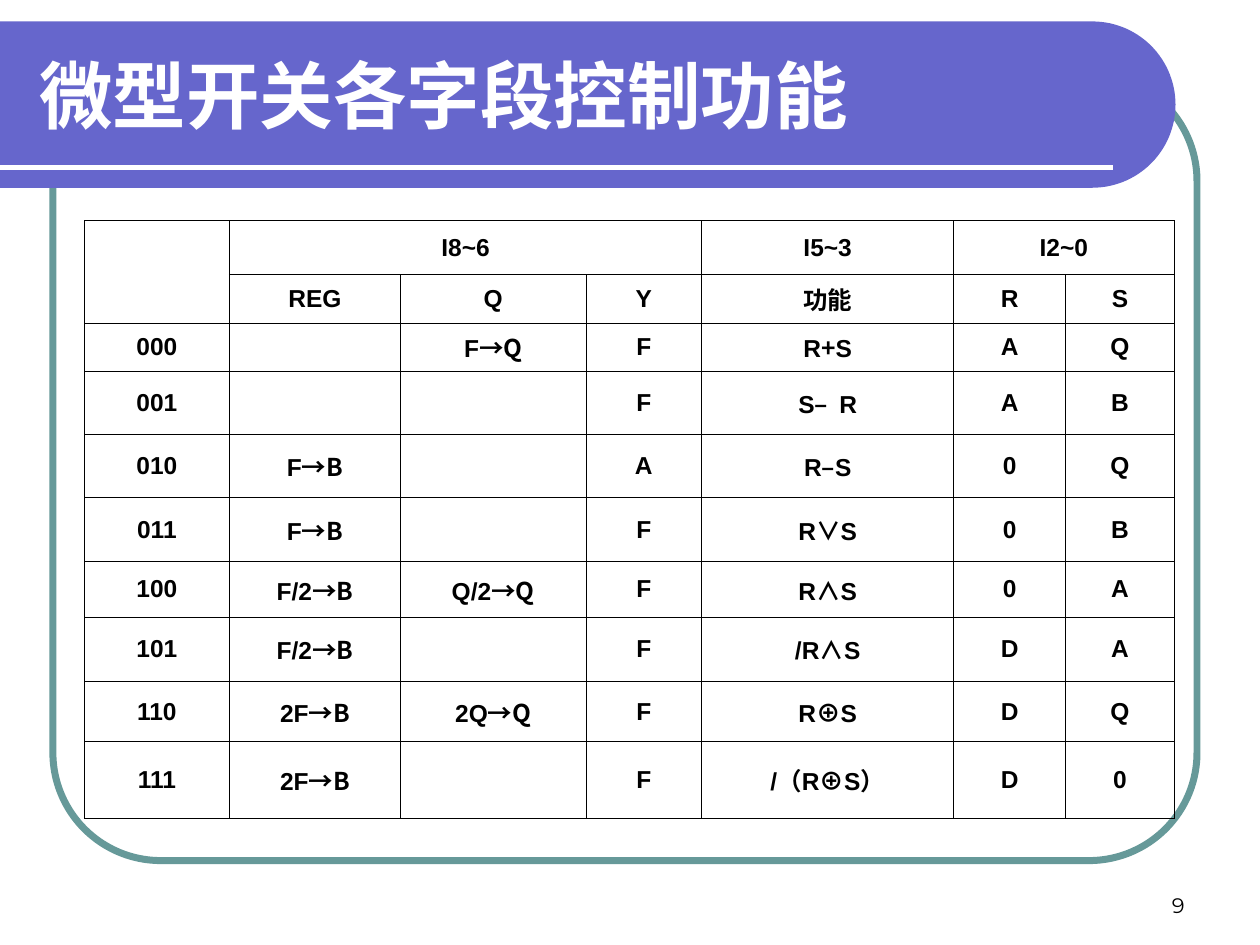
from math import cos, pi, sin
from lxml.etree import SubElement
from pptx import Presentation
from pptx.dml.color import RGBColor
from pptx.enum.shapes import MSO_CONNECTOR, MSO_SHAPE
from pptx.enum.text import MSO_ANCHOR, MSO_AUTO_SIZE, PP_ALIGN
from pptx.oxml import parse_xml
from pptx.oxml.ns import nsdecls, qn
from pptx.util import Inches, Pt

CJK = "Noto Sans CJK SC"


def color(code):
    return RGBColor.from_string(code)


def style(run, size, name, code, bold):
    font = run.font
    font.size, font.name, font.bold = Pt(size), name, bold
    font.color.rgb = color(code)
    SubElement(run._r.get_or_add_rPr(), qn("a:ea")).set("typeface", CJK)


deck = Presentation()
deck.slide_width, deck.slide_height = Inches(10), Inches(7.5)
slide = deck.slides.add_slide(deck.slide_layouts[5])
shapes = slide.shapes

# Rounded frame
frame = shapes.add_shape(MSO_SHAPE.ROUNDED_RECTANGLE, Inches(0.42),
                         Inches(0.58), Inches(9.08), Inches(6.25))
frame.adjustments[0] = 0.137
frame.shadow.inherit = False
frame.fill.background()
frame.line.color.rgb = color("669999")
frame.line.width = Pt(4)

# Banner with a half-round right end
mid, rad, steps = 0.83, 0.66, 60
turns = [pi * (i / steps - 0.5) for i in range(steps + 1)]
arc = [(Inches(8.67 + rad * cos(t)), Inches(mid + rad * sin(t)))
       for t in turns]
path = shapes.build_freeform(0, Inches(mid - rad))
path.add_line_segments(arc + [(0, Inches(mid + rad))], close=True)
banner = path.convert_to_shape()
banner.shadow.inherit = False
banner.fill.solid()
banner.fill.fore_color.rgb = color("6666CC")
banner.line.fill.background()

# White rule
rule = shapes.add_connector(MSO_CONNECTOR.STRAIGHT, 0, Inches(1.33),
                            Inches(8.83), Inches(1.33))
rule.line.color.rgb = color("FFFFFF")
rule.line.width = Pt(3)
SubElement(rule._element.spPr, qn("a:effectLst"))

# Title, brought in front of the banner
title = shapes.title
title.left, title.top = Inches(0.21), Inches(0.25)
title.width, title.height = Inches(8.77), Inches(1)
text = title.text_frame
text.text = "微型开关各字段控制功能"
text.auto_size = MSO_AUTO_SIZE.NONE
text.vertical_anchor = MSO_ANCHOR.MIDDLE
text.paragraphs[0].alignment = PP_ALIGN.LEFT
style(text.paragraphs[0].runs[0], 42, CJK, "FFFFFF", True)
rule._element.addnext(title._element)

# Table: "|" switches between Arial and the CJK font
rows = [
    ["", "I8~6", "", "", "I5~3", "I2~0", ""],
    ["", "REG", "Q", "Y", "功能", "R", "S"],
    ["000", "", "F|→Q", "F", "R|+|S", "A", "Q"],
    ["001", "", "", "F", "S|–  |R", "A", "B"],
    ["010", "F|→B", "", "A", "R|–|S", "0", "Q"],
    ["011", "F|→B", "", "F", "R|∨|S", "0", "B"],
    ["100", "F/2|→B", "Q/2|→Q", "F", "R|∧|S", "0", "A"],
    ["101", "F/2|→B", "", "F", "/R|∧|S", "D", "A"],
    ["110", "2F|→B", "2Q|→Q", "F", "R|⊕|S", "D", "Q"],
    ["111", "2F|→B", "", "F", "/（R|⊕|S）", "D", "0"],
]
wide = [1.15, 1.36, 1.47, 0.92, 2, 0.89, 0.86]
high = [0.43, 0.33, 0.37, 0.5, 0.5, 0.51, 0.44, 0.51, 0.48, 0.61]
grid = shapes.add_table(len(rows), len(wide), Inches(0.67), Inches(1.75),
                        Inches(8.67), Inches(4.67)).table
grid.first_row = grid.horz_banding = False
for col, size in zip(grid.columns, wide):
    col.width = Inches(size)
for row, size in zip(grid.rows, high):
    row.height = Inches(size)

for r, row in enumerate(rows):
    for c, label in enumerate(row):
        cell = grid.cell(r, c)
        cell.vertical_anchor = MSO_ANCHOR.MIDDLE
        cell.fill.background()
        para = cell.text_frame.paragraphs[0]
        para.alignment = PP_ALIGN.CENTER
        if label:
            for i, part in enumerate(label.split("|")):
                run = para.add_run()
                run.text = part
                style(run, 14, CJK if i % 2 else "Arial", "000000", True)
        else:
            SubElement(para._p, qn("a:endParaRPr")).set("sz", "1400")
        for i, side in enumerate(["lnL", "lnR", "lnT", "lnB"]):
            cell._tc.get_or_add_tcPr().insert(i, parse_xml(
                f'<a:{side} {nsdecls("a")} w="{Pt(0.45)}"><a:solidFill>'
                f'<a:srgbClr val="000000"/></a:solidFill></a:{side}>'))

# Header spans
for start, end in [((0, 0), (1, 0)), ((0, 1), (0, 3)), ((0, 5), (0, 6))]:
    grid.cell(*start).merge(grid.cell(*end))

# Page number
page = shapes.add_textbox(Inches(7.17), Inches(6.83), Inches(2.33),
                          Inches(0.5)).text_frame
page.word_wrap = True
page.vertical_anchor = MSO_ANCHOR.BOTTOM
page.text = "9"
page.paragraphs[0].alignment = PP_ALIGN.RIGHT
style(page.paragraphs[0].runs[0], 12, "Montserrat", "000000", False)

deck.save("out.pptx")
